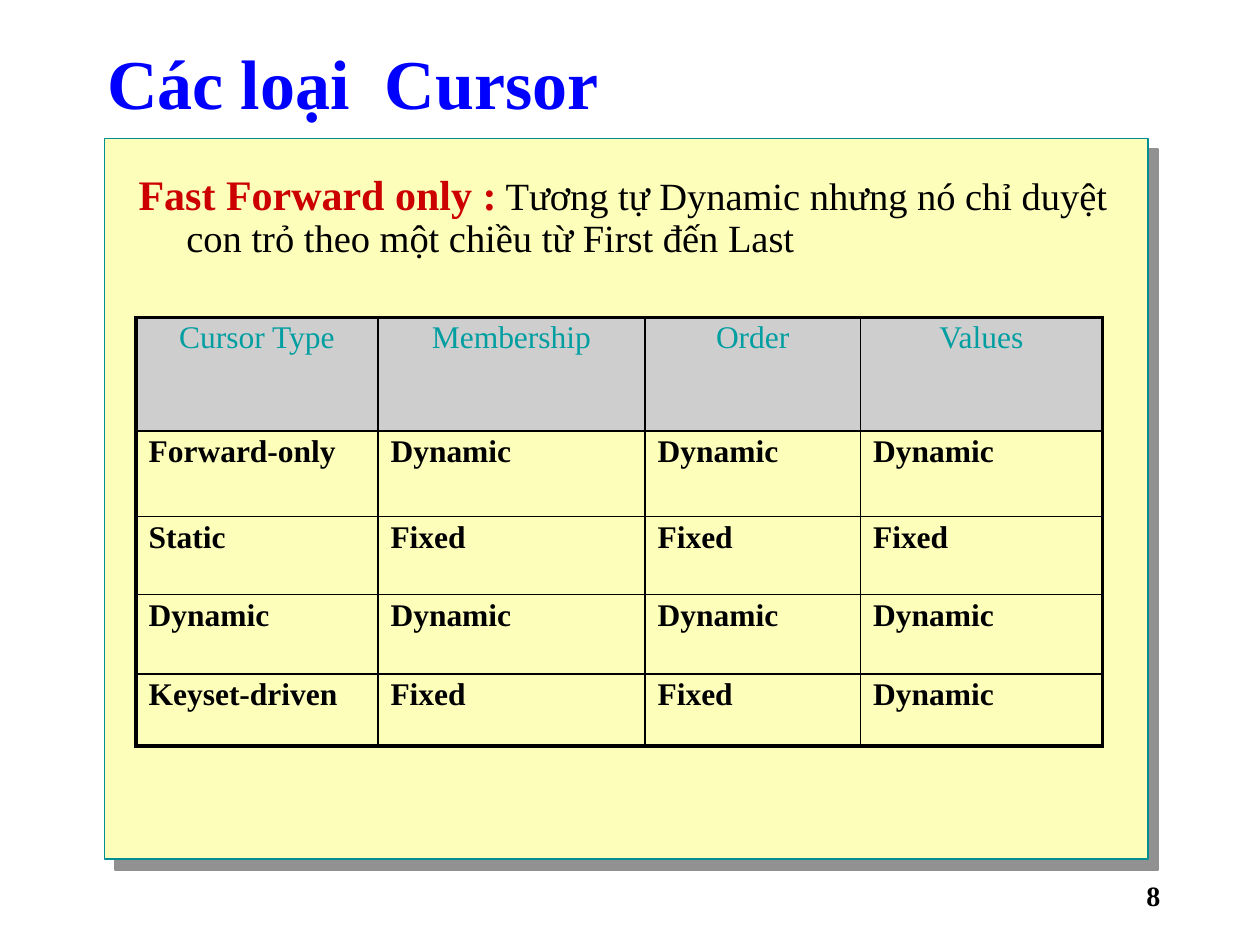
from lxml.etree import SubElement
from pptx import Presentation
from pptx.dml.color import RGBColor
from pptx.enum.shapes import MSO_SHAPE
from pptx.enum.text import MSO_ANCHOR, MSO_AUTO_SIZE, PP_ALIGN
from pptx.oxml.ns import qn
from pptx.util import Inches, Pt

FONT = "Times New Roman"
COLORS = {
    "title": "0000FF",
    "term": "CC0000",
    "text": "000000",
    "panel": "FCFEB9",
    "panel_line": "009094",
    "shadow": "919191",
    "header": "CECECE",
    "header_text": "009EA1",
}
COLUMNS = [1.92, 2.12, 1.71, 1.92]
ROWS = [0.9, 0.68, 0.62, 0.63, 0.57]
CURSORS = [
    ["Cursor Type", "Membership", "Order", "Values"],
    ["Forward-only", "Dynamic", "Dynamic", "Dynamic"],
    ["Static", "Fixed", "Fixed", "Fixed"],
    ["Dynamic", "Dynamic", "Dynamic", "Dynamic"],
    ["Keyset-driven", "Fixed", "Fixed", "Dynamic"],
]


def color(name):
    return RGBColor.from_string(COLORS[name])


def add_text(para, text, size=18, ink="text", bold=False, align=PP_ALIGN.LEFT, spacing=0.9):
    para.alignment = align
    para.line_spacing = spacing
    span = para.add_run()
    span.text = text
    span.font.name = FONT
    span.font.size = Pt(size)
    span.font.bold = bold
    span.font.color.rgb = color(ink)


def place(box, left, top, width, height, anchor=MSO_ANCHOR.TOP):
    box.left, box.top = Inches(left), Inches(top)
    box.width, box.height = Inches(width), Inches(height)
    frame = box.text_frame
    frame.word_wrap = True
    frame.auto_size = MSO_AUTO_SIZE.NONE
    frame.vertical_anchor = anchor
    return frame.paragraphs[0]


def add_panel(page):
    panel = page.shapes.add_shape(
        MSO_SHAPE.RECTANGLE, Inches(0.83), Inches(1.1), Inches(8.28), Inches(5.72))
    panel.fill.solid()
    panel.fill.fore_color.rgb = color("panel")
    panel.line.color.rgb = color("panel_line")
    panel.line.width = Pt(1)
    panel.shadow.inherit = False
    effects = panel.element.spPr.find(qn("a:effectLst"))
    shadow = SubElement(effects, qn("a:outerShdw"), blurRad="0", dist=str(Pt(8.5)),
                        dir="2700000", algn="ctr", rotWithShape="0")
    SubElement(shadow, qn("a:srgbClr"), val=COLORS["shadow"])
    page.shapes.element.insert(2, panel.element)


def add_title(page):
    para = place(page.shapes.title, 0.75, 0.25, 8.96, 0.92, MSO_ANCHOR.MIDDLE)
    add_text(para, "Các loại  Cursor", size=40, ink="title", bold=True, spacing=0.8)


def add_body(page):
    para = place(page.placeholders[1], 1, 1.33, 8.25, 1.25)
    add_text(para, "Fast Forward only :", size=24, ink="term", bold=True)
    add_text(para, " Tương tự Dynamic nhưng nó chỉ duyệt con trỏ theo một chiều "
                   "từ First đến Last", size=22)
    properties = para._p.get_or_add_pPr()
    properties.set("marL", str(Inches(0.38)))
    properties.set("indent", str(-Inches(0.38)))
    SubElement(properties, qn("a:buNone"))


def set_borders(cell, outer_sides):
    properties = cell._tc.get_or_add_tcPr()
    for side in "LRTB":
        width = 2.25 if side in outer_sides else 1
        line = SubElement(properties, qn("a:ln" + side), w=str(Pt(width)))
        fill = SubElement(line, qn("a:solidFill"))
        SubElement(fill, qn("a:srgbClr"), val=COLORS["text"])


def format_cell(cell, text, header, outer_sides):
    set_borders(cell, outer_sides)
    para = cell.text_frame.paragraphs[0]
    if header:
        cell.fill.solid()
        cell.fill.fore_color.rgb = color("header")
        add_text(para, text, ink="header_text", align=PP_ALIGN.CENTER)
    else:
        cell.fill.background()
        add_text(para, text, bold=True)


def add_cursor_table(page):
    table = page.shapes.add_table(
        len(ROWS), len(COLUMNS), Inches(1.08), Inches(2.52),
        Inches(sum(COLUMNS)), Inches(sum(ROWS))).table
    table.horz_banding = False
    for column, width in zip(table.columns, COLUMNS):
        column.width = Inches(width)
    for row, height in zip(table.rows, ROWS):
        row.height = Inches(height)
    last_row, last_column = len(ROWS) - 1, len(COLUMNS) - 1
    for r, values in enumerate(CURSORS):
        for c, text in enumerate(values):
            edges = {"L": c == 0, "R": c == last_column, "T": r == 0, "B": r == last_row}
            outer_sides = [side for side, outer in edges.items() if outer]
            format_cell(table.cell(r, c), text, r == 0, outer_sides)


def add_page_number(page):
    box = page.shapes.add_textbox(0, 0, 0, 0)
    para = place(box, 9, 6.92, 0.67, 0.37)
    add_text(para, "8", size=16, bold=True, spacing=1.0)


def main():
    deck = Presentation()
    deck.slide_width, deck.slide_height = Inches(10), Inches(7.5)
    page = deck.slides.add_slide(deck.slide_layouts[1])
    add_panel(page)
    add_title(page)
    add_body(page)
    add_cursor_table(page)
    add_page_number(page)
    deck.save("out.pptx")


if __name__ == "__main__":
    main()
